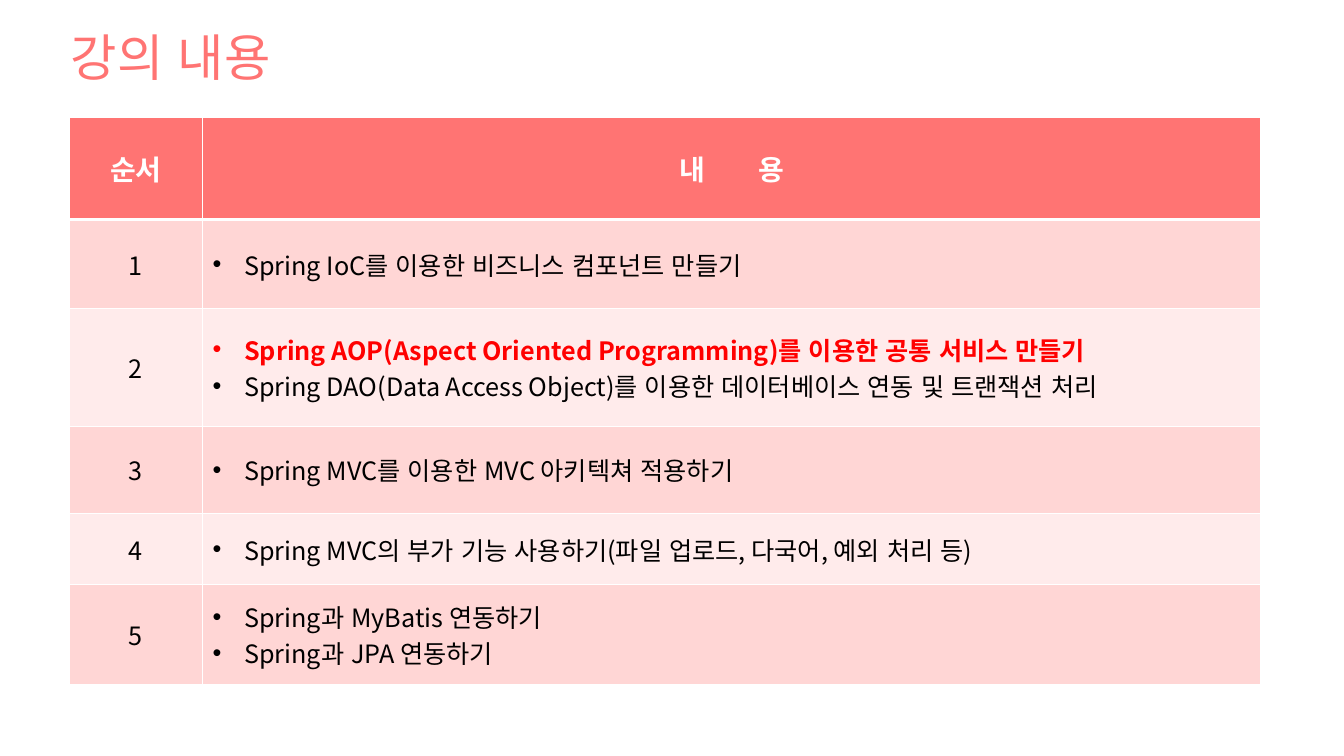
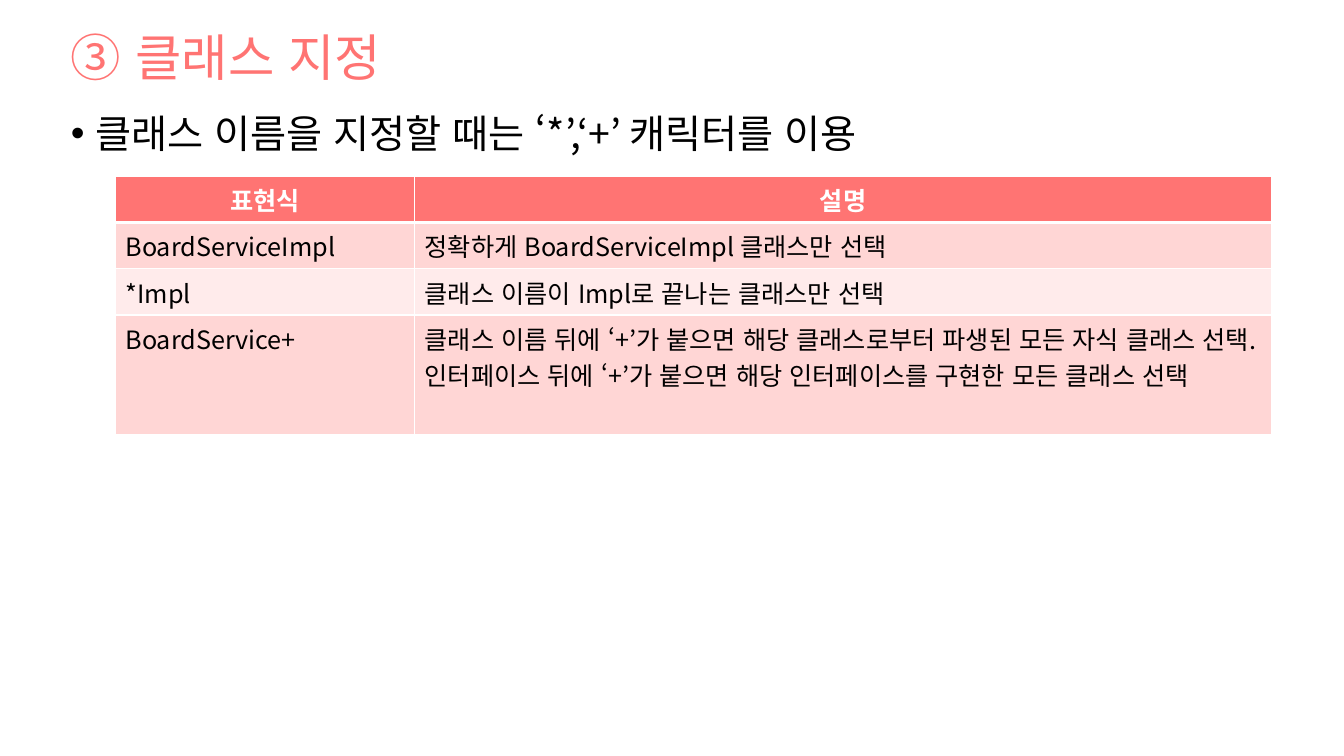
import dataclasses

import lxml.etree
import pptx
import pptx.dml.color
import pptx.enum.lang
import pptx.enum.text
import pptx.oxml.ns
import pptx.util

Align = pptx.enum.text.PP_ALIGN
Anchor = pptx.enum.text.MSO_ANCHOR
Pt = pptx.util.Pt
qn = pptx.oxml.ns.qn
SCALE = 9525


@dataclasses.dataclass(frozen=True)
class Theme:
    font: str = "Noto Sans CJK KR"
    coral: str = "FF7473"
    bands: tuple = ("FFD6D5", "FFEBEB")
    white: str = "FFFFFF"
    black: str = "000000"
    red: str = "FF0000"
    title: int = 36
    lead: int = 28
    head: int = 20
    cell: int = 18


THEME = Theme()
TITLE = {"size": THEME.title, "color": THEME.coral}
LEAD = {"size": THEME.lead, "color": THEME.black}
HEAD = {"size": THEME.head, "color": THEME.white, "bold": True}
SMALL = HEAD | {"size": THEME.cell}
CELL = {"size": THEME.cell, "color": THEME.black, "bold": False}
FOCUS = CELL | {"color": THEME.red, "bold": True}
CENTER = {"alignment": Align.CENTER}
LIST = {"bullet": 30}


def px(count):
    return pptx.util.Emu(count * SCALE)


def rgb(code):
    return pptx.dml.color.RGBColor.from_string(code)


def assign(target, values):
    for name, value in values.items():
        setattr(target, name, value)


def add_run(para, text, style, gap=0):
    run = para.add_run()
    run.text = text
    assign(run.font, {
        "name": THEME.font,
        "size": Pt(style["size"]),
        "bold": style.get("bold", False),
        "language_id": pptx.enum.lang.MSO_LANGUAGE_ID.KOREAN,
    })
    run.font.color.rgb = rgb(style["color"])
    props = run.font._element
    lxml.etree.SubElement(props, qn("a:ea"), typeface=THEME.font)
    if gap:
        props.set("spc", str(gap * 100))


def add_bullet(para, indent):
    props = para._p.get_or_add_pPr()
    props.set("marL", str(px(indent)))
    props.set("indent", str(-px(indent)))
    lxml.etree.SubElement(props, qn("a:buFont"), typeface="Arial")
    lxml.etree.SubElement(props, qn("a:buChar"), char="•")


def fill_text(frame, lines, style, layout):
    frame.word_wrap = True
    layout = dict(layout)
    indent = layout.pop("bullet", 0)
    for index, line in enumerate(lines):
        para = frame.paragraphs[0] if index == 0 else frame.add_paragraph()
        assign(para, layout)
        if indent:
            add_bullet(para, indent)
        text, look = line if isinstance(line, tuple) else (line, style)
        parts = text if isinstance(text, list) else [(text, 0)]
        for part, gap in parts:
            add_run(para, part, look, gap)


def add_box(slide, place, text, style, layout, anchor=Anchor.TOP):
    frame = slide.shapes.add_textbox(*map(px, place)).text_frame
    frame.vertical_anchor = anchor
    fill_text(frame, [text], style, layout)


def add_title(slide, text):
    add_box(slide, (58, 21, 1165, 72), text, TITLE,
            {"line_spacing": 0.9}, Anchor.MIDDLE)


def add_edge(cell, side, points):
    props = cell._tc.get_or_add_tcPr()
    line = lxml.etree.SubElement(props, qn("a:ln" + side), w=str(Pt(points)))
    fill = lxml.etree.SubElement(line, qn("a:solidFill"))
    lxml.etree.SubElement(fill, qn("a:srgbClr"), val=THEME.white)


def paint_cell(cell, row):
    heavy = {0: "B", 1: "T"}.get(row)
    for side in "LRTB":
        add_edge(cell, side, 3 if side == heavy else 1)
    cell.fill.solid()
    cell.fill.fore_color.rgb = rgb(THEME.bands[(row - 1) % 2] if row else THEME.coral)


def add_grid(slide, spot, widths, heights, rows, head, layouts, anchor):
    size = (sum(widths), sum(heights))
    table = slide.shapes.add_table(
        len(rows), len(widths), *map(px, spot + size)).table
    for column, width in zip(table.columns, widths):
        column.width = px(width)
    for index, (height, row) in enumerate(zip(heights, rows)):
        table.rows[index].height = px(height)
        for place, lines in enumerate(row):
            cell = table.cell(index, place)
            paint_cell(cell, index)
            cell.vertical_anchor = anchor
            fill_text(cell.text_frame, lines, CELL if index else head,
                      layouts[place] if index else CENTER)


def build_course(slide):
    add_title(slide, "강의 내용")
    topics = [
        ["Spring IoC를 이용한 비즈니스 컴포넌트 만들기"],
        [("Spring AOP(Aspect Oriented Programming)를 이용한 공통 서비스 만들기", FOCUS),
         "Spring DAO(Data Access Object)를 이용한 데이터베이스 연동 및 트랜잭션 처리"],
        ["Spring MVC를 이용한 MVC 아키텍쳐 적용하기"],
        ["Spring MVC의 부가 기능 사용하기(파일 업로드, 다국어, 예외 처리 등)"],
        ["Spring과 MyBatis 연동하기", "Spring과 JPA 연동하기"],
    ]
    spaced = ([("내", 0), (" ", 33), ("용", 0)], HEAD)
    rows = [(["순서"], [spaced])]
    rows += [([str(count)], lines) for count, lines in enumerate(topics, 1)]
    add_grid(slide, (66, 112), (127, 1008), (97, 85, 112, 83, 68, 95),
             rows, HEAD, (CENTER, LIST), Anchor.MIDDLE)


def build_class(slide):
    add_title(slide, "③ 클래스 지정")
    add_box(slide, (58, 104, 1165, 78),
            "클래스 이름을 지정할 때는 ‘*’,‘+’ 캐릭터를 이용", LEAD,
            {"line_spacing": 0.9, "space_before": Pt(10), "bullet": 24})
    rows = [
        (["표현식"], ["설명"]),
        (["BoardServiceImpl"], ["정확하게 BoardServiceImpl 클래스만 선택"]),
        (["*Impl"], ["클래스 이름이 Impl로 끝나는 클래스만 선택"]),
        (["BoardService+"],
         ["클래스 이름 뒤에 ‘+’가 붙으면 해당 클래스로부터 파생된 모든 자식 클래스 선택. "
          "인터페이스 뒤에 ‘+’가 붙으면 해당 인터페이스를 구현한 모든 클래스 선택"]),
    ]
    add_grid(slide, (110, 168), (285, 816), (44, 44, 44, 114),
             rows, SMALL, ({}, {}), Anchor.TOP)


def main():
    deck = pptx.Presentation()
    assign(deck, {"slide_width": px(1280), "slide_height": px(720)})
    for build in (build_course, build_class):
        build(deck.slides.add_slide(deck.slide_layouts[6]))
    deck.save("out.pptx")


if __name__ == "__main__":
    main()
